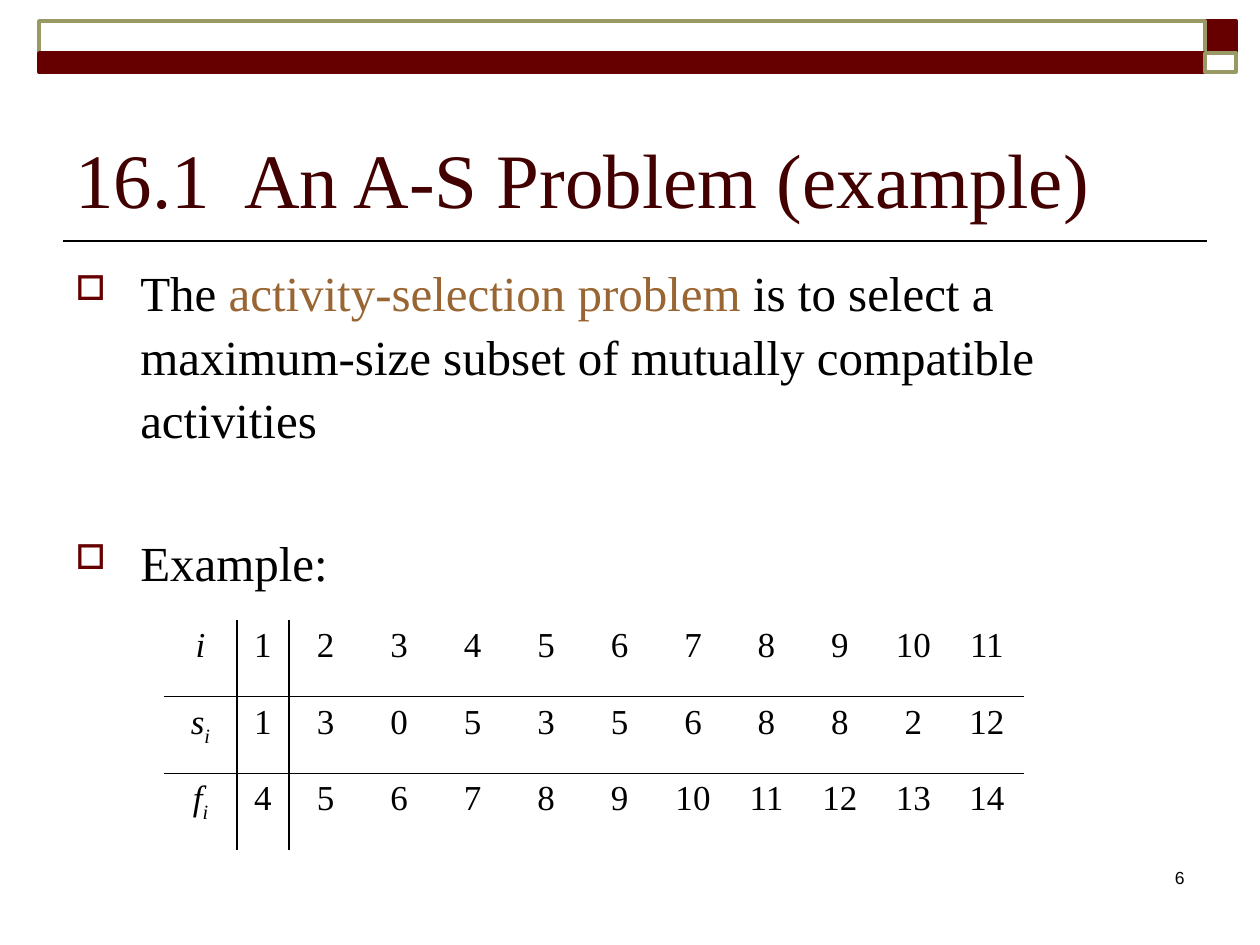
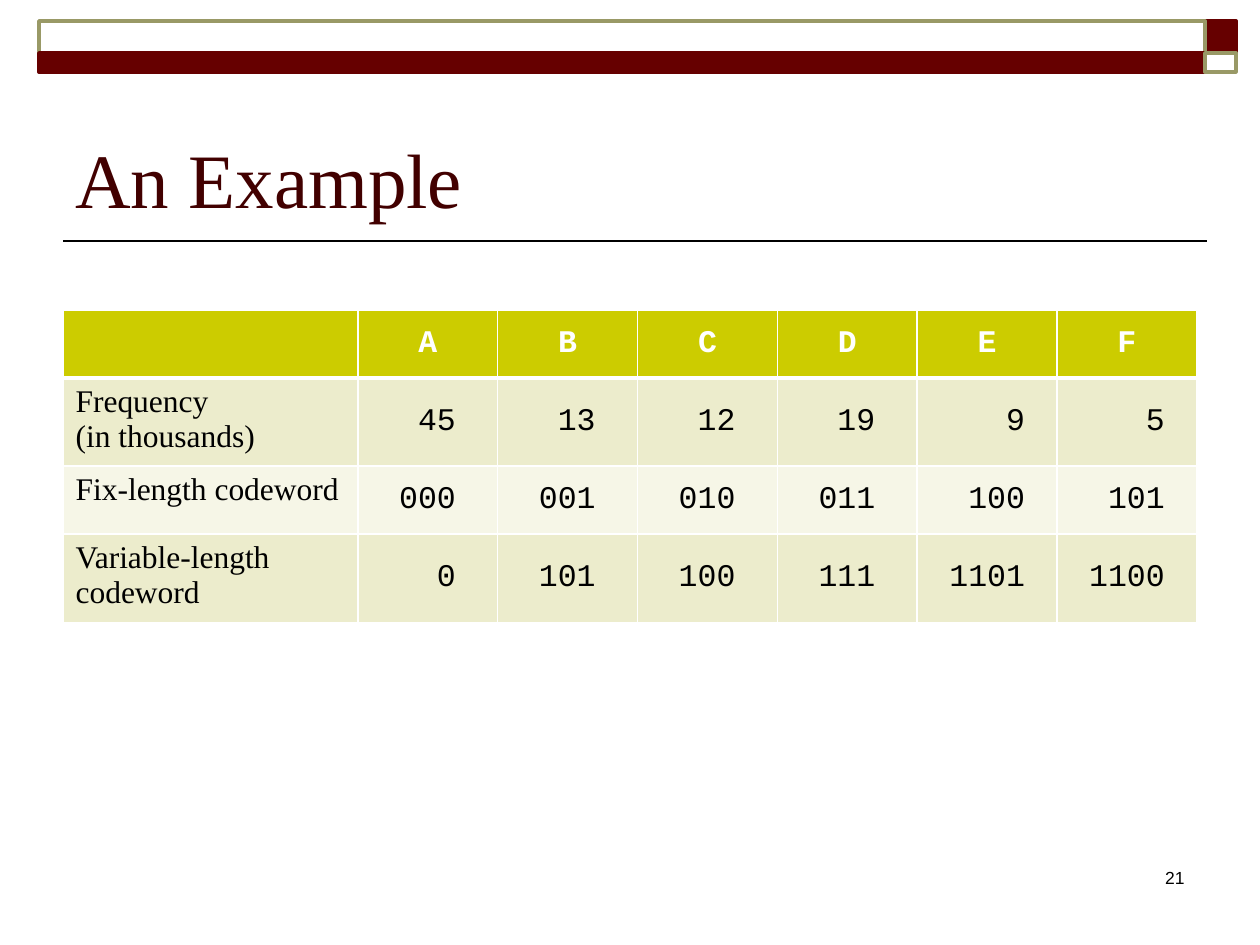
from dataclasses import dataclass

from lxml.etree import SubElement
from pptx import Presentation
from pptx.dml.color import RGBColor
from pptx.enum.shapes import MSO_CONNECTOR, MSO_SHAPE
from pptx.enum.text import MSO_ANCHOR, PP_ALIGN
from pptx.oxml import parse_xml
from pptx.oxml.ns import nsdecls, qn
from pptx.util import Pt


@dataclass(frozen=True)
class Theme:
    """Colours, fonts and type sizes of the deck."""

    wine: str = "660000"
    olive: str = "999966"
    title: str = "420000"
    accent: str = "996633"
    ink: str = "000000"
    white: str = "FFFFFF"
    head: str = "CCCC00"
    bands: tuple = ("ECECCC", "F6F6E7")
    serif: str = "Times New Roman"
    mono: str = "Courier New"
    sans: str = "Arial"
    title_size: int = 44
    body_size: int = 28
    grid_size: int = 20
    code_size: int = 18
    page_size: int = 10


T = Theme()
PLAIN = "{2D5ABB26-0587-4C30-8999-92F81FD0307C}"

TIMES = [
    ("i", "", range(1, 12)),
    ("s", "i", (1, 3, 0, 5, 3, 5, 6, 8, 8, 2, 12)),
    ("f", "i", (4, 5, 6, 7, 8, 9, 10, 11, 12, 13, 14)),
]
CODES = [
    ("", "ABCDEF"),
    ("Frequency\v(in thousands)", (45, 13, 12, 19, 9, 5)),
    ("Fix-length codeword", ("000", "001", "010", "011", "100", "101")),
    ("Variable-length codeword", ("0", "101", "100", "111", "1101", "1100")),
]


def px(n):
    """Turn pixels into EMU."""
    return round(n * 914400 / 126)


def rgb(code):
    """Turn a hex code into a colour."""
    return RGBColor.from_string(code)


def style(para, size, face=T.serif, color=T.ink, align=PP_ALIGN.LEFT, bold=False):
    """Set the font and alignment of a paragraph."""
    para.alignment = align
    font = para.font
    font.name, font.size, font.bold = face, Pt(size), bold
    font.color.rgb = rgb(color)


def text_box(slide, box, anchor=MSO_ANCHOR.TOP):
    """Add a wrapping text box and return its frame."""
    frame = slide.shapes.add_textbox(*map(px, box)).text_frame
    frame.word_wrap = True
    frame.vertical_anchor = anchor
    return frame


def block(slide, box, color, solid):
    """Add a filled or hollow rectangle."""
    shape = slide.shapes.add_shape(MSO_SHAPE.RECTANGLE, *map(px, box))
    shape.shadow.inherit = False
    shape.line.color.rgb = rgb(color)
    shape.line.width = Pt(2)
    if solid:
        shape.fill.solid()
        shape.fill.fore_color.rgb = rgb(color)
    else:
        shape.fill.background()


def band(slide, box):
    """Draw the two-row band, checked at its right end."""
    left, top, width, height = box
    side, upper = 31, 32
    long = width - side
    low = height - upper
    block(slide, (left + long, top, side, upper), T.wine, True)
    block(slide, (left, top, long, upper), T.olive, False)
    block(slide, (left, top + upper, long, low), T.wine, True)
    block(slide, (left + long, top + upper, side, low), T.olive, False)


def rule(slide, left, right, y):
    """Draw the line under the title."""
    line = slide.shapes.add_connector(
        MSO_CONNECTOR.STRAIGHT, px(right), px(y), px(left), px(y))
    line.line.color.rgb = rgb(T.ink)
    line.line.width = Pt(1)
    SubElement(line._element.spPr, qn("a:effectLst"))


def frame_page(prs, title, page):
    """Add a slide with band, rule, title and page number."""
    slide = prs.slides.add_slide(prs.slide_layouts[6])
    rule(slide, 63, 1207, 241)
    band(slide, (39, 21, 1197, 51))
    head = text_box(slide, (63, 73, 1134, 157), MSO_ANCHOR.BOTTOM).paragraphs[0]
    head.text = title
    style(head, T.title_size, color=T.title)
    foot = text_box(slide, (935, 861, 262, 63)).paragraphs[0]
    foot.text = str(page)
    style(foot, T.page_size, T.sans, align=PP_ALIGN.RIGHT)
    return slide


def bullet(para, before):
    """Style a body paragraph with a hollow square bullet."""
    style(para, T.body_size)
    para.line_spacing = 1.08
    para.space_before = Pt(before)
    props = para._p.get_or_add_pPr()
    props.set("marL", str(px(65)))
    props.set("indent", str(-px(65)))
    last = props.find(qn("a:defRPr"))
    for part in (f'<a:buClr {nsdecls("a")}><a:srgbClr val="{T.wine}"/></a:buClr>',
                 f'<a:buSzPct {nsdecls("a")} val="70000"/>',
                 f'<a:buChar {nsdecls("a")} char="□"/>'):
        last.addprevious(parse_xml(part))


def points(slide, box):
    """Write the problem statement and the lead-in to the example."""
    frame = text_box(slide, box)
    first, second = frame.paragraphs[0], frame.add_paragraph()
    first.add_run().text = "The "
    term = first.add_run()
    term.text = "activity-selection problem"
    term.font.color.rgb = rgb(T.accent)
    first.add_run().text = (
        " is to select a maximum-size subset of mutually compatible activities")
    second.text = "Example:"
    bullet(first, 6)
    bullet(second, 45)


def grid(slide, box, rows, leads, count):
    """Add a bare table whose last count columns share the rest of the width."""
    left, top, width, height = map(px, box)
    table = slide.shapes.add_table(
        rows, len(leads) + count, left, top, width, height).table
    table.first_row = table.horz_banding = False
    table._tbl.tblPr.find(qn("a:tableStyleId")).text = PLAIN
    widths = [px(lead) for lead in leads]
    widths += [(width - sum(widths)) // count] * count
    for column, size in zip(table.columns, widths):
        column.width = size
    for row in table.rows:
        row.height = height // rows
    return table


def edges(cell, color, **widths):
    """Draw cell borders, with widths in points keyed by side L, R, T or B."""
    props = cell._tc.get_or_add_tcPr()
    sides = [side for side in "LRTB" if side in widths]
    for spot, side in enumerate(sides):
        props.insert(spot, parse_xml(
            f'<a:ln{side} {nsdecls("a")} w="{Pt(widths[side])}"><a:solidFill>'
            f'<a:srgbClr val="{color}"/></a:solidFill></a:ln{side}>'))


def time_table(slide, box):
    """Place the start and finish times of the activities."""
    table = grid(slide, box, len(TIMES), (73, 52), 10)
    for r, (name, sub, values) in enumerate(TIMES):
        for c, value in enumerate((name, *values)):
            cell = table.cell(r, c)
            cell.fill.background()
            para = cell.text_frame.paragraphs[0]
            para.add_run().text = str(value)
            style(para, T.grid_size, align=PP_ALIGN.CENTER)
            if c == 0:
                para.font.italic = True
                if sub:
                    run = para.add_run()
                    run.text = sub
                    run.font._element.set("baseline", "-25000")
            lines = {0: {"R": 1}, 1: {"L": 1}}.get(c, {})
            lines = lines | {0: {"B": 1}, 1: {"T": 1}}.get(r, {})
            edges(cell, T.ink, **lines)


def code_table(slide, box):
    """Place the frequencies and codewords of the letters."""
    table = grid(slide, box, len(CODES), (295,), 6)
    for r, (label, values) in enumerate(CODES):
        for c, value in enumerate((label, *values)):
            cell = table.cell(r, c)
            cell.fill.solid()
            cell.fill.fore_color.rgb = rgb(T.bands[(r - 1) % 2] if r else T.head)
            para = cell.text_frame.paragraphs[0]
            para.text = str(value)
            if c:
                cell.vertical_anchor = MSO_ANCHOR.MIDDLE
            if c == 0:
                style(para, T.code_size)
            elif r == 0:
                style(para, T.code_size, T.mono, T.white, PP_ALIGN.CENTER, True)
            else:
                style(para, T.code_size, T.mono, align=PP_ALIGN.RIGHT)
                cell.margin_right = px(42 if c < 5 else 32)
            edges(cell, T.white, L=1, R=1, T=3 if r == 1 else 1, B=1 if r else 3)


def main():
    """Build both slides and save them."""
    prs = Presentation()
    prs.slide_width, prs.slide_height = px(1260), px(945)
    slide = frame_page(prs, "16.1  An A-S Problem (example)", 6)
    points(slide, (63, 252, 1134, 627))
    time_table(slide, (164, 620, 860, 230))
    slide = frame_page(prs, "An Example", 21)
    code_table(slide, (63, 310, 1134, 272))
    prs.save("out.pptx")


if __name__ == "__main__":
    main()
